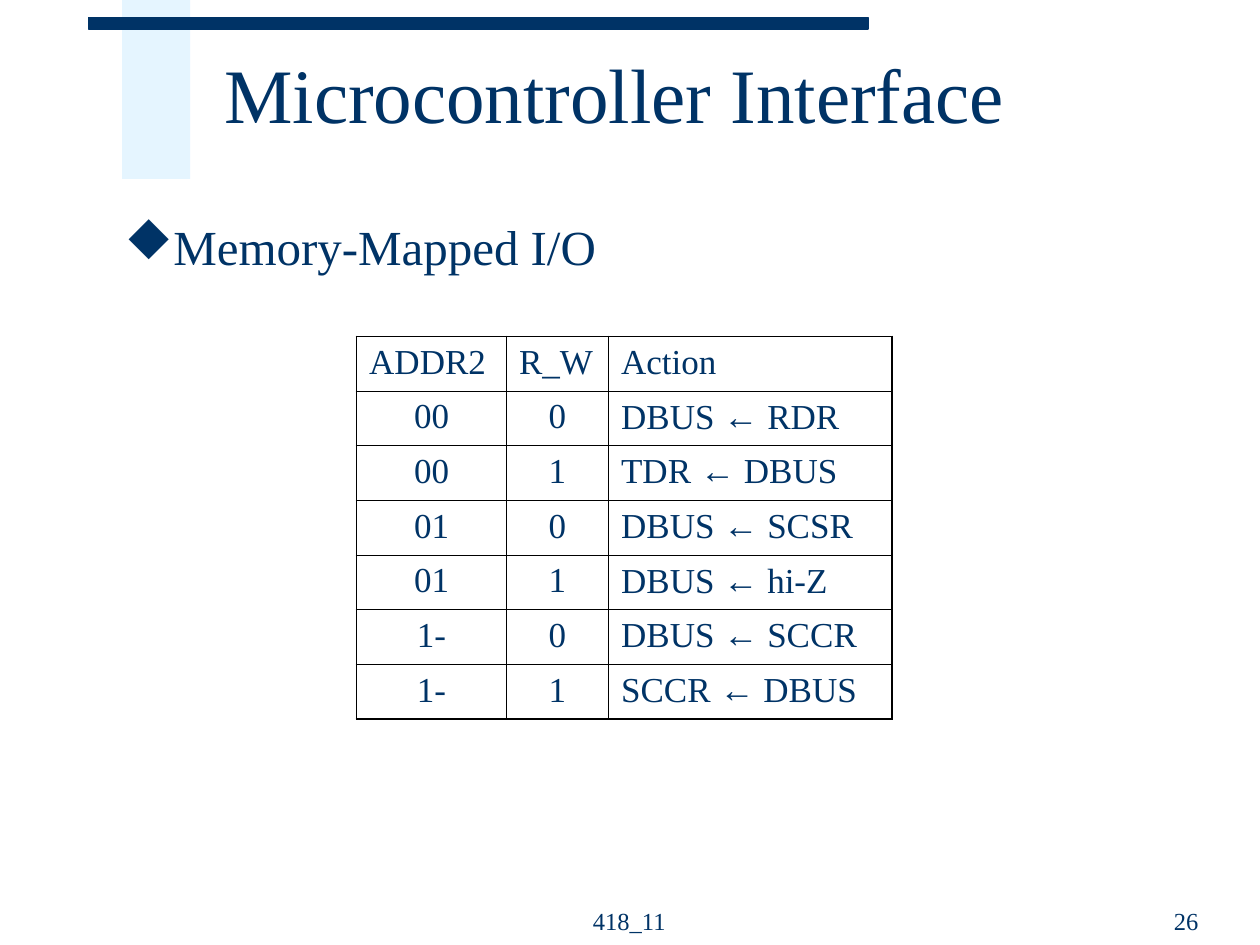
from lxml import etree
from pptx import Presentation
from pptx import util as u
from pptx.dml.color import RGBColor
from pptx.enum import shapes, text
from pptx.oxml import ns

NAVY = RGBColor(0x00, 0x33, 0x66)
PALE_BLUE = RGBColor(0xCC, 0xEC, 0xFF)
SERIF = "Times New Roman"
DIAMOND = ("Wingdings", "u")
LEFT, CENTER, RIGHT = text.PP_ALIGN.LEFT, text.PP_ALIGN.CENTER, text.PP_ALIGN.RIGHT
TOP, MIDDLE, BOTTOM = text.MSO_ANCHOR.TOP, text.MSO_ANCHOR.MIDDLE, text.MSO_ANCHOR.BOTTOM

TITLE = "Microcontroller Interface"
BULLET = "Memory-Mapped I/O"
FOOTERS = [
    ("418_11", (4.08, 6.97, 1.83, 0.5), CENTER),
    ("26", (7.21, 6.97, 2.4, 0.5), RIGHT),
]
BARS = [
    ((0.97, 0, 0.54, 1.42), PALE_BLUE, 50),
    ((0.7, 0.14, 6.19, 0.09), NAVY, 100),
]
ROWS = [
    ("ADDR2", "R_W", "Action"),
    ("00", "0", "DBUS ← RDR"),
    ("00", "1", "TDR ← DBUS"),
    ("01", "0", "DBUS ← SCSR"),
    ("01", "1", "DBUS ← hi-Z"),
    ("1-", "0", "DBUS ← SCCR"),
    ("1-", "1", "SCCR ← DBUS"),
]
COLUMN_WIDTHS = [1.19, 0.81, 2.25]
ROW_HEIGHT = 0.43
TABLE_LEFT, TABLE_TOP = 2.83, 2.67
THICK, THIN = 1.08, 0.45


def inches(box):
    return [u.Inches(length) for length in box]


def add_child(parent, tag, **attributes):
    return etree.SubElement(parent, ns.qn(tag), attributes)


def write(frame, content, size=20, align=LEFT, spacing=None, bullet=None):
    paragraph = frame.paragraphs[0]
    if bullet:
        bullet_font, bullet_character = bullet
        properties = paragraph._p.get_or_add_pPr()
        indent = u.Inches(0.38)
        properties.set("marL", str(indent))
        properties.set("indent", str(-indent))
        color = add_child(properties, "a:buClr")
        add_child(color, "a:srgbClr", val=str(NAVY))
        add_child(properties, "a:buFont", typeface=bullet_font, charset="2")
        add_child(properties, "a:buChar", char=bullet_character)
    paragraph.alignment = align
    if spacing:
        paragraph.line_spacing = spacing
    before, arrow, after = content.partition("←")
    for part, font_name in ((before, SERIF), (arrow, "Arial"), (after, SERIF)):
        if part:
            run = paragraph.add_run()
            run.text = part
            run.font.name = font_name
            run.font.size = u.Pt(size)
            run.font.color.rgb = NAVY


def add_text(slide, box, content, anchor=TOP, **style):
    frame = slide.shapes.add_textbox(*inches(box)).text_frame
    frame.word_wrap = True
    frame.vertical_anchor = anchor
    write(frame, content, **style)


def add_bar(slide, box, color, opacity):
    bar = slide.shapes.add_shape(shapes.MSO_SHAPE.RECTANGLE, *inches(box))
    bar.shadow.inherit = False
    bar.fill.solid()
    bar.fill.fore_color.rgb = color
    if opacity < 100:
        fill_color = bar._element.spPr.find(".//" + ns.qn("a:srgbClr"))
        add_child(fill_color, "a:alpha", val=str(opacity * 1000))
        bar.line.fill.background()
    else:
        bar.line.color.rgb = color
        bar.line.width = u.Pt(0.75)


def set_borders(cell, outer_edges):
    properties = cell._tc.get_or_add_tcPr()
    for edge, outer in outer_edges.items():
        width = u.Pt(THICK if outer else THIN)
        line = add_child(properties, "a:ln" + edge, w=str(width))
        fill = add_child(line, "a:solidFill")
        add_child(fill, "a:srgbClr", val="000000")


def add_action_table(slide):
    size = sum(COLUMN_WIDTHS), ROW_HEIGHT * len(ROWS)
    table = slide.shapes.add_table(
        len(ROWS), len(COLUMN_WIDTHS), *inches((TABLE_LEFT, TABLE_TOP, *size))
    ).table
    table.first_row = table.horz_banding = False
    for column, width in zip(table.columns, COLUMN_WIDTHS):
        column.width = u.Inches(width)
    last_row, last_column = len(ROWS) - 1, len(COLUMN_WIDTHS) - 1
    for r, values in enumerate(ROWS):
        table.rows[r].height = u.Inches(ROW_HEIGHT)
        for c, value in enumerate(values):
            cell = table.cell(r, c)
            centered = r > 0 and c < last_column
            write(cell.text_frame, value, align=CENTER if centered else LEFT)
            set_borders(cell, {"L": c == 0, "R": c == last_column,
                               "T": r == 0, "B": r == last_row})
            cell.fill.background()


def main():
    presentation = Presentation()
    presentation.slide_width, presentation.slide_height = inches((10, 7.5))
    slide = presentation.slides.add_slide(presentation.slide_layouts[5])
    for bar in BARS:
        add_bar(slide, *bar)

    title = slide.shapes.title
    title.left, title.top, title.width, title.height = inches((1.68, 0.17, 8.07, 1.25))
    title.text_frame.vertical_anchor = MIDDLE
    write(title.text_frame, TITLE, size=44, spacing=0.85)
    slide.shapes._spTree.append(title._element)

    add_text(slide, (0.89, 1.67, 8.7, 5), BULLET, size=28, bullet=DIAMOND)
    add_action_table(slide)
    for content, box, align in FOOTERS:
        add_text(slide, box, content, anchor=BOTTOM, size=14, align=align)
    presentation.save("out.pptx")


if __name__ == "__main__":
    main()
